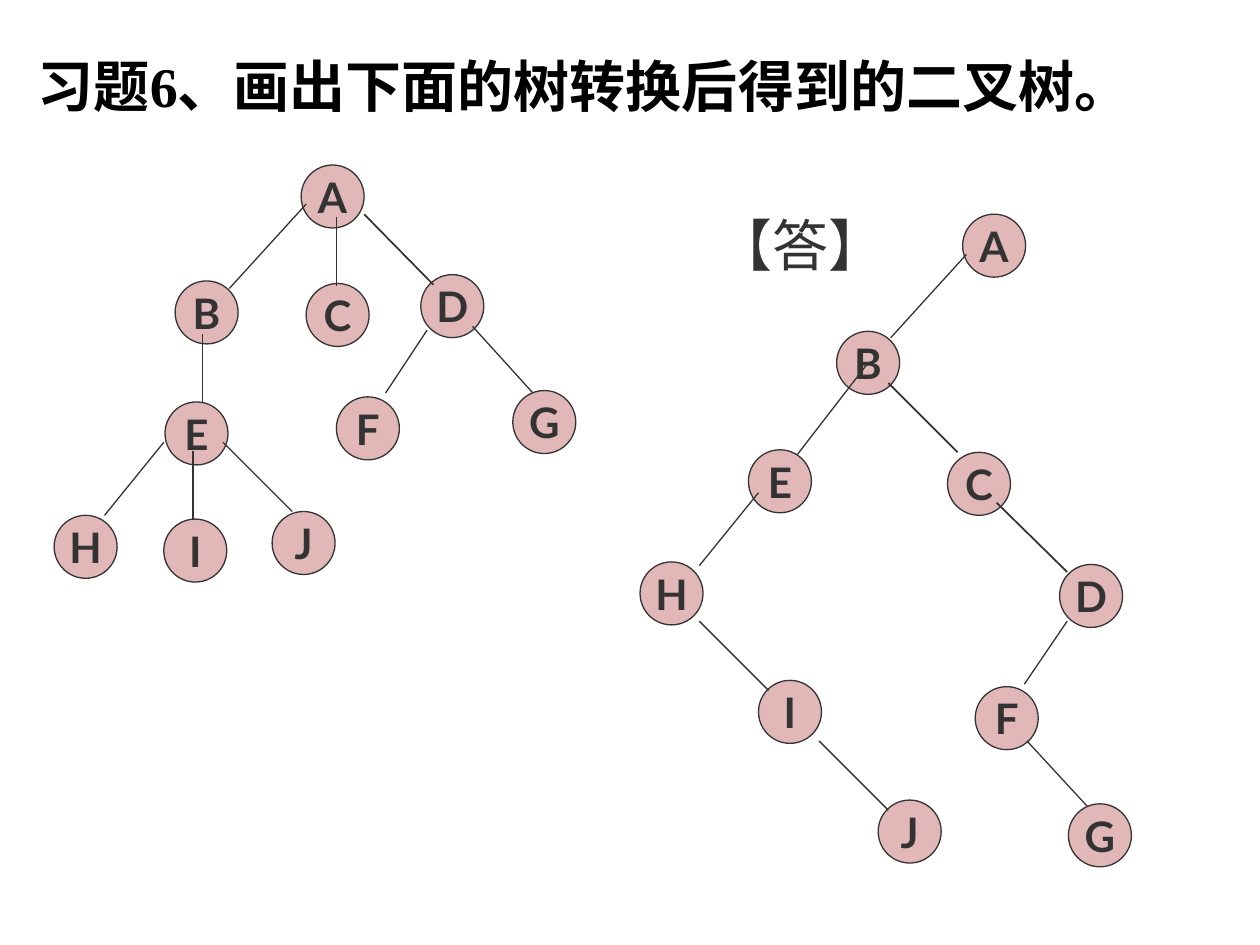
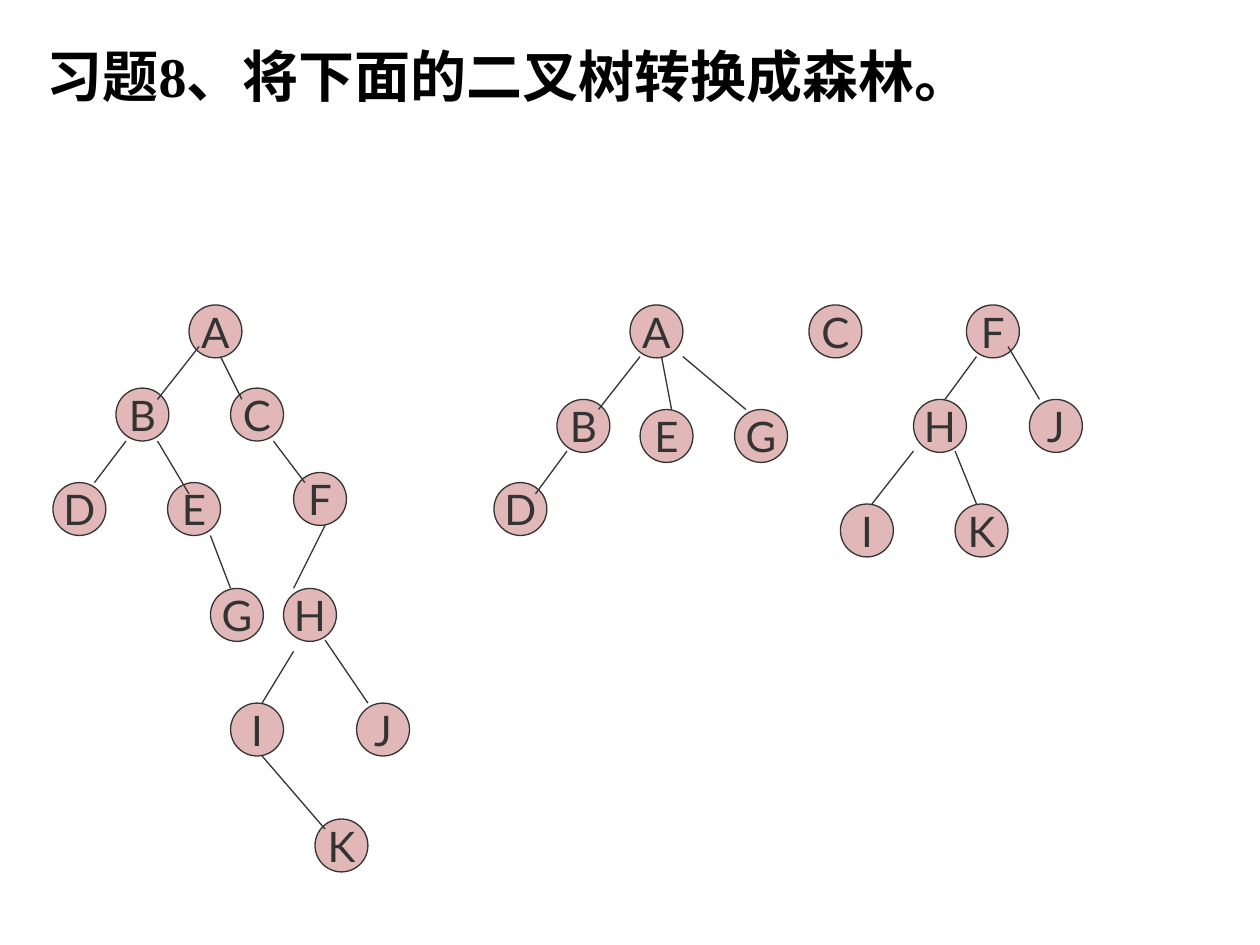
from dataclasses import dataclass

from lxml import etree
from pptx import Presentation
from pptx.dml.color import RGBColor as Color
from pptx.enum.lang import MSO_LANGUAGE_ID as Language
from pptx.enum.shapes import MSO_CONNECTOR as Connector, MSO_SHAPE as Shape
from pptx.enum.text import MSO_ANCHOR as Anchor, MSO_AUTO_SIZE as AutoSize, PP_ALIGN as Align
from pptx.oxml.ns import qn
from pptx.util import Inches, Pt


@dataclass(frozen=True)
class Theme:
    title_color: Color = Color.from_string("000000")
    ink: Color = Color.from_string("333333")
    node_fill: Color = Color.from_string("E1B7B7")
    text_font: str = "Times New Roman"
    node_font: str = "Lato"
    title_size: Pt = Pt(32)
    node_size: Pt = Pt(24)
    thin: Pt = Pt(0.75)
    thick: Pt = Pt(1)


THEME = Theme()

# Each tree is a list of layers, back to front: nodes (left, top), then
# edges (from x, from y, to x, to y) named by parent and child.
GENERAL_TREE = [(
    {"A": (2.39, 1.31), "B": (1.39, 2.23), "C": (2.43, 2.25), "D": (3.34, 2.18),
     "E": (1.31, 3.19), "F": (2.67, 3.15), "G": (4.07, 3.1),
     "H": (0.43, 4.09), "I": (1.3, 4.12), "J": (2.16, 4.06)},
    {"AB": (2.43, 1.62, 1.82, 2.29), "AC": (2.67, 1.72, 2.67, 2.27),
     "AD": (2.89, 1.7, 3.44, 2.26), "BE": (1.61, 2.65, 1.61, 3.2),
     "DF": (3.39, 2.62, 3.06, 3.12), "DG": (3.75, 2.59, 4.23, 3.12),
     "EH": (1.3, 3.51, 0.83, 4.09), "EI": (1.53, 3.58, 1.53, 4.13),
     "EJ": (1.77, 3.51, 2.32, 4.06)},
)]

CONVERTED_TREE = [
    ({"A": (7.64, 1.7), "B": (6.64, 2.63)},
     {"AB": (7.67, 2.02, 7.07, 2.68), "BE": (6.89, 2.88, 6.28, 3.67)}),
    ({"C": (7.52, 3.59), "D": (8.41, 4.48), "E": (5.94, 3.57), "F": (7.74, 5.45),
      "G": (8.48, 6.38), "H": (5.08, 4.46), "I": (6.02, 5.4), "J": (6.97, 6.35)},
     {"BC": (7.05, 3.04, 7.6, 3.59), "CD": (7.91, 3.99, 8.47, 4.54),
      "DF": (8.47, 4.93, 8.13, 5.43), "FG": (8.15, 5.88, 8.63, 6.4),
      "EH": (6.02, 3.91, 5.55, 4.49), "HI": (5.55, 4.93, 6.1, 5.48),
      "IJ": (6.5, 5.88, 7.05, 6.43)}),
]

BINARY_TREE = [(
    {"A": (1.5, 2.42), "B": (0.92, 3.08), "C": (1.83, 3.08), "D": (0.42, 3.83),
     "E": (1.33, 3.83), "F": (2.33, 3.75), "G": (1.67, 4.67), "H": (2.25, 4.67),
     "I": (1.83, 5.58), "J": (2.83, 5.58), "K": (2.5, 6.5)},
    {"AB": (1.58, 2.75, 1.25, 3.17), "AC": (1.75, 2.83, 1.92, 3.17),
     "BD": (1, 3.5, 0.75, 3.83), "BE": (1.25, 3.5, 1.5, 3.92),
     "CF": (2.17, 3.5, 2.42, 3.83), "EG": (1.67, 4.25, 1.83, 4.67),
     "FH": (2.58, 4.17, 2.33, 4.67), "HI": (2.33, 5.17, 2.08, 5.58),
     "HJ": (2.58, 5.08, 2.92, 5.58), "IK": (2.08, 6, 2.58, 6.58)},
)]

FOREST = [(
    {"A": (5, 2.42), "B": (4.42, 3.17), "C": (6.42, 2.42), "D": (3.92, 3.83),
     "E": (5.08, 3.25), "F": (7.67, 2.42), "G": (5.83, 3.25), "H": (7.25, 3.17),
     "I": (6.67, 4), "J": (8.17, 3.17), "K": (7.58, 4)},
    {"AB": (5.08, 2.83, 4.75, 3.25), "AE": (5.25, 2.83, 5.33, 3.25),
     "AG": (5.42, 2.83, 5.92, 3.25), "BD": (4.5, 3.58, 4.25, 3.92),
     "FH": (7.75, 2.83, 7.5, 3.17), "FJ": (8, 2.75, 8.25, 3.17),
     "HI": (6.92, 4, 7.25, 3.58), "HK": (7.58, 3.58, 7.75, 4)},
)]

# Trees come with the names of their thick edges.
PAGES = [
    {"title": "习题6、画出下面的树转换后得到的二叉树。", "title_at": (0.2, 0.36),
     "trees": [(GENERAL_TREE, {"AC", "AD", "EI"}), (CONVERTED_TREE, {"BC", "CD"})],
     "node_width": 0.5, "bold_nodes": True,
     "answer": ("【答】", (5.59, 1.62))},
    {"title": "习题8、将下面的二叉树转换成森林。", "title_at": (0.27, 0.28),
     "trees": [(BINARY_TREE, set()), (FOREST, set())],
     "node_width": 0.42, "bold_nodes": False},
]


def add_run(para, text, font_name, size, color, bold):
    span = para.add_run()
    span.text = text
    span.font.name = font_name
    span.font.size = size
    span.font.bold = bold
    span.font.color.rgb = color
    span.font.language_id = Language.SIMPLIFIED_CHINESE


def add_line_of_text(page, text, at, width, color, bold):
    """Add a one-line text box in the title size."""
    box = page.shapes.add_textbox(*map(Inches, (*at, width, 0.63)))
    box.text_frame.word_wrap = True
    box.text_frame.auto_size = AutoSize.SHAPE_TO_FIT_TEXT
    add_run(box.text_frame.paragraphs[0], text, THEME.text_font, THEME.title_size, color, bold)


deck = Presentation()
deck.slide_width, deck.slide_height = Inches(10), Inches(7.5)

for content in PAGES:
    page = deck.slides.add_slide(deck.slide_layouts[6])
    add_line_of_text(page, content["title"], content["title_at"], 9.21, THEME.title_color, True)

    for layers, thick_edges in content["trees"]:
        tree = page.shapes.add_group_shape().shapes
        for nodes, edges in layers:
            for letter, at in nodes.items():
                width = content["node_width"]
                node = tree.add_shape(Shape.OVAL, *map(Inches, (*at, width, width)))
                node.shadow.inherit = False
                node.fill.solid()
                node.fill.fore_color.rgb = THEME.node_fill
                node.line.color.rgb = THEME.ink
                node.line.width = THEME.thin
                node.text_frame.word_wrap = False
                node.text_frame.vertical_anchor = Anchor.MIDDLE
                para = node.text_frame.paragraphs[0]
                para.alignment = Align.CENTER
                add_run(para, letter, THEME.node_font, THEME.node_size, THEME.ink,
                        content["bold_nodes"])

            for name, ends in edges.items():
                edge = tree.add_connector(Connector.STRAIGHT, *map(Inches, ends))
                edge.line.color.rgb = THEME.ink
                edge.line.width = THEME.thick if name in thick_edges else THEME.thin
                etree.SubElement(edge._element.spPr, qn("a:effectLst"))

    if "answer" in content:
        add_line_of_text(page, *content["answer"], 2.2, THEME.ink, False)

deck.save("out.pptx")
